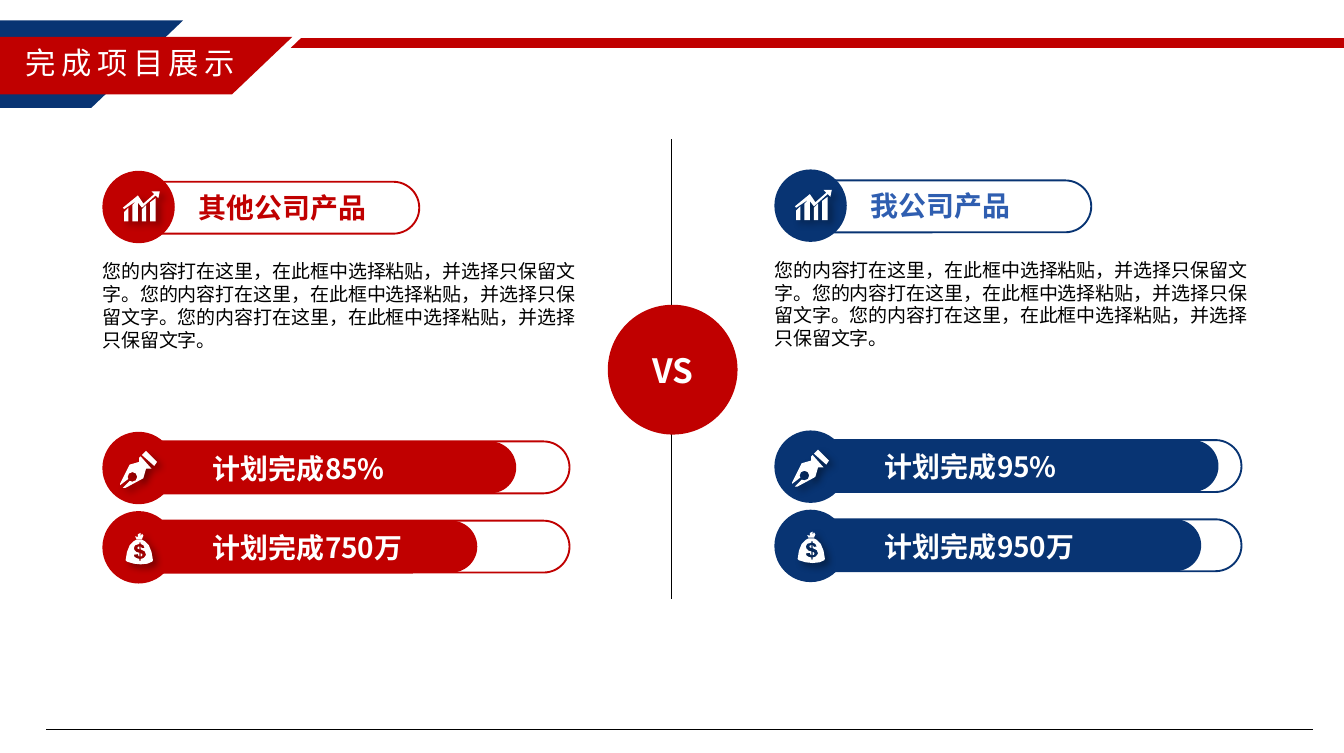
import pptx
import pptx.util
import pptx.dml.color
import pptx.enum.shapes
import pptx.enum.text
import pptx.oxml
import pptx.oxml.ns

Inches, Pt = pptx.util.Inches, pptx.util.Pt
RGBColor = pptx.dml.color.RGBColor
MSO = pptx.enum.shapes.MSO_SHAPE
ALIGN = pptx.enum.text.PP_ALIGN
ANCHOR = pptx.enum.text.MSO_ANCHOR

RED = RGBColor(0xC0, 0x00, 0x00)
NAVY = RGBColor(0x08, 0x34, 0x73)
BLUE = RGBColor(0x2F, 0x5E, 0xB0)
WHITE = RGBColor(0xFF, 0xFF, 0xFF)
BLACK = RGBColor(0x00, 0x00, 0x00)
CJK = "Noto Sans CJK SC"
BODY = "您的内容打在这里，在此框中选择粘贴，并选择只保留文字。" * 3

W, H = 9.84, 5.51
DISC = 0.53        # diameter of an icon disc
CAPSULE_H = 0.38
BAR_W = 3.17

# Icon outlines on a grid of 53 by 53 units that covers the disc
CHART_ICON = [
    [(19, 27), (19, 37), (16, 37), (16, 30)],
    [(25, 22), (26, 23), (26, 37), (22, 37), (22, 25)],
    [(32, 25), (32, 37), (29, 37), (29, 28)],
    [(39, 20), (39, 37), (35, 37), (35, 23)],
    [(42, 15), (41, 20), (39, 18), (29, 27), (25, 22), (16, 28),
     (15, 27), (26, 18), (30, 24), (38, 17), (36, 15)],
]
PEN_ICON = [
    [(38, 25), (29, 17), (32, 14), (40, 22)],
    [(35, 27), (32, 27), (30, 34), (17, 41), (15, 41), (20, 36), (22, 36.5),
     (24.5, 35.5), (25.5, 33), (24.5, 30.5), (22, 29.5), (19.5, 30.5),
     (18.5, 33), (19, 34.5), (13, 39), (13, 38), (20, 24), (27, 22),
     (27, 19), (28, 18), (36, 27)],
]
MONEY_ICON = [
    # Tuft and bag
    [(25, 20.5), (24, 18.5), (26, 19), (26, 17), (28, 16), (28, 18.5),
     (29, 16.5), (30, 18), (29, 20.5)],
    [(25, 21), (29, 21), (31, 22), (34, 25), (36, 30), (37, 36), (36.5, 37),
     (33, 38.5), (28, 39), (23, 38.5), (18, 37), (17, 36), (18, 30),
     (20, 25), (23, 22)],
    # Dollar sign and its two counters
    [(31, 33.5), (30, 34.5), (28, 35), (28, 36.5), (27, 36.5), (27, 35),
     (25, 34.5), (23.5, 33.5), (23, 32), (26, 31.5), (26.5, 33), (27, 33.2),
     (27, 30.5), (25, 30), (23.5, 28.5), (23, 27), (24, 25), (27, 24),
     (27, 23), (28, 23), (28, 24), (30, 25), (31, 27), (29, 27.2),
     (28, 26), (28, 28), (31, 29.5), (32, 32)],
    [(28, 31), (28, 33.2), (29, 33), (29.3, 32), (29, 31.3)],
    [(27, 26), (26, 26.2), (25.7, 27), (26, 27.6), (27, 28)],
]


def write(tf, text, size=14.7, font=CJK, color=WHITE, bold=False,
          align=ALIGN.LEFT, anchor=ANCHOR.MIDDLE, wrap=False, spacing=0):
    """Fill a text frame with one formatted run."""
    tf.margin_left = tf.margin_right = tf.margin_top = tf.margin_bottom = 0
    tf.auto_size = pptx.enum.text.MSO_AUTO_SIZE.NONE
    tf.word_wrap = wrap
    tf.vertical_anchor = anchor
    p = tf.paragraphs[0]
    p.alignment = align
    r = p.add_run()
    r.text = text
    r.font.size, r.font.bold, r.font.name = Pt(size), bold, font
    r.font.color.rgb = color
    rPr = r.font._element
    if spacing:
        rPr.set("spc", str(spacing * 100))
    ea = pptx.oxml.parse_xml(
        f'<a:ea {pptx.oxml.ns.nsdecls("a")} typeface="{font}"/>')
    rPr.append(ea)


def label(slide, x, y, w, h, text, **fmt):
    sp = slide.shapes.add_textbox(Inches(x), Inches(y), Inches(w), Inches(h))
    write(sp.text_frame, text, **fmt)


def preset(slide, kind, x, y, w, h, fill=None, line=None, adj=None):
    sp = slide.shapes.add_shape(kind, Inches(x), Inches(y), Inches(w), Inches(h))
    sp.shadow.inherit = False
    if adj is not None:
        sp.adjustments[0] = adj
    if fill is None:
        sp.fill.background()
    else:
        sp.fill.solid()
        sp.fill.fore_color.rgb = fill
    if line is None:
        sp.line.fill.background()
    else:
        sp.line.color.rgb = line
        sp.line.width = Pt(1)
    return sp


def rule(slide, x1, y1, x2, y2):
    cx = slide.shapes.add_connector(
        pptx.enum.shapes.MSO_CONNECTOR.STRAIGHT,
        Inches(x1), Inches(y1), Inches(x2), Inches(y2))
    cx.line.color.rgb = BLACK
    cx.line.width = Pt(0.5)
    cx._element.spPr.append(pptx.oxml.parse_xml(
        f'<a:effectLst {pptx.oxml.ns.nsdecls("a")}/>'))


def icon_disc(slide, x, y, color, icon):
    """Coloured disc with a white, shadowed icon on it."""
    preset(slide, MSO.OVAL, x, y, DISC, DISC, fill=color)
    fb = None
    for contour in icon:
        points = [(px * 10, py * 10) for px, py in contour]
        if fb is None:
            fb = slide.shapes.build_freeform(*points[0], scale=Inches(DISC) / 530)
        else:
            fb.move_to(*points[0])
        fb.add_line_segments(points[1:], close=True)
    sp = fb.convert_to_shape(Inches(x), Inches(y))
    sp.fill.solid()
    sp.fill.fore_color.rgb = WHITE
    sp.line.fill.background()
    sp._element.spPr.append(pptx.oxml.parse_xml(
        f'<a:effectLst {pptx.oxml.ns.nsdecls("a")}>'
        f'<a:outerShdw blurRad="{Pt(4)}" dist="{Pt(3)}" dir="2700000" algn="tl"'
        ' rotWithShape="0"><a:srgbClr val="000000"><a:alpha val="40000"/>'
        '</a:srgbClr></a:outerShdw></a:effectLst>'))


def progress_bar(slide, x, y, color, icon, text, share):
    top = y + 0.07
    preset(slide, MSO.ROUNDED_RECTANGLE, x + 0.25, top, BAR_W, CAPSULE_H,
           line=color, adj=0.5)
    preset(slide, MSO.ROUNDED_RECTANGLE, x + 0.24, top, BAR_W * share, CAPSULE_H,
           fill=color, adj=0.5)
    label(slide, x + 0.81, y + 0.14, 1.63, 0.25, text, bold=True)
    icon_disc(slide, x, y, color, icon)


def product_panel(slide, x, y, color, title, title_color, bars):
    # Heading capsule
    label(slide, x + 0.7, y + 0.14, 1.39, 0.25, title, color=title_color, bold=True)
    preset(slide, MSO.ROUNDED_RECTANGLE, x + 0.25, y + 0.08, 2.07, CAPSULE_H,
           line=color, adj=0.5)
    icon_disc(slide, x, y, color, CHART_ICON)
    # Description
    label(slide, x, y + 0.65, 3.53, 0.69, BODY, size=10, font="Calibri",
          color=BLACK, anchor=ANCHOR.TOP, wrap=True)
    # Progress bars
    for i, (icon, text, share) in enumerate(bars):
        progress_bar(slide, x, y + 1.91 + 0.58 * i, color, icon, text, share)


def versus(slide, x, top, bottom):
    rule(slide, x, top, x, bottom)
    sp = preset(slide, MSO.OVAL, x - 0.47, 2.23, 0.95, 0.95, fill=RED)
    write(sp.text_frame, "VS", size=17.6, bold=True, align=ALIGN.CENTER)


def header(slide):
    for x, y, w, h, color in ((-0.81, 0.15, 2.15, 0.64, NAVY),
                              (-0.81, 0.27, 2.95, 0.42, RED),
                              (2.13, 0.28, 8.17, 0.07, RED)):
        preset(slide, MSO.PARALLELOGRAM, x, y, w, h, fill=color, adj=1.05)
    title = slide.shapes.title
    title.left, title.top = Inches(0.05), Inches(0.27)
    title.width, title.height = Inches(1.81), Inches(0.37)
    write(title.text_frame, "完成项目展示", size=16, align=ALIGN.CENTER, spacing=3)
    slide.shapes._spTree.append(title._element)  # in front of the ribbons


def main():
    prs = pptx.Presentation()
    prs.slide_width, prs.slide_height = Inches(W), Inches(H)
    slide = prs.slides.add_slide(prs.slide_layouts[5])
    versus(slide, W / 2, 1.02, 4.38)
    product_panel(slide, 5.67, 1.24, NAVY, "我公司产品", BLUE,
                  [(PEN_ICON, "计划完成95%", 0.95), (MONEY_ICON, "计划完成950万", 0.91)])
    product_panel(slide, 0.75, 1.25, RED, "其他公司产品", RED,
                  [(PEN_ICON, "计划完成85%", 0.88), (MONEY_ICON, "计划完成750万", 0.79)])
    header(slide)
    rule(slide, 0.34, 5.34, 9.61, 5.34)
    prs.save("out.pptx")


if __name__ == "__main__":
    main()
